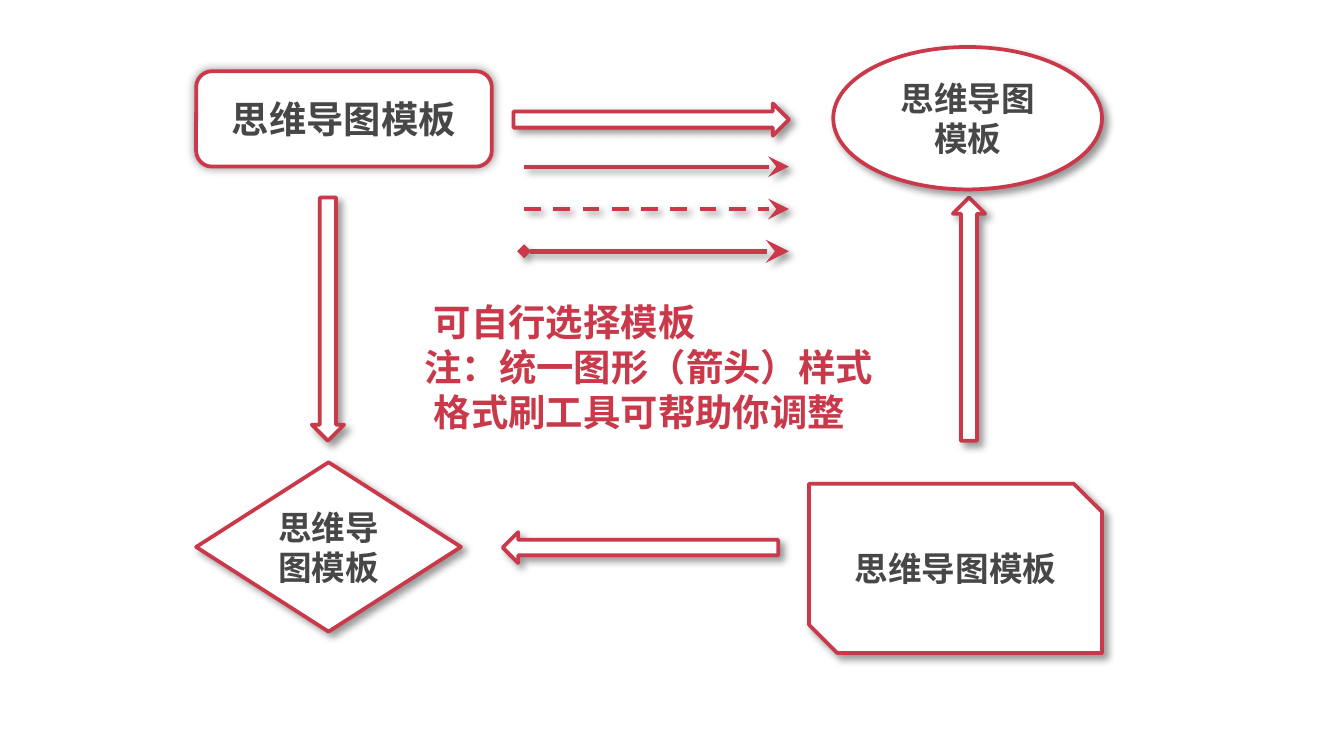
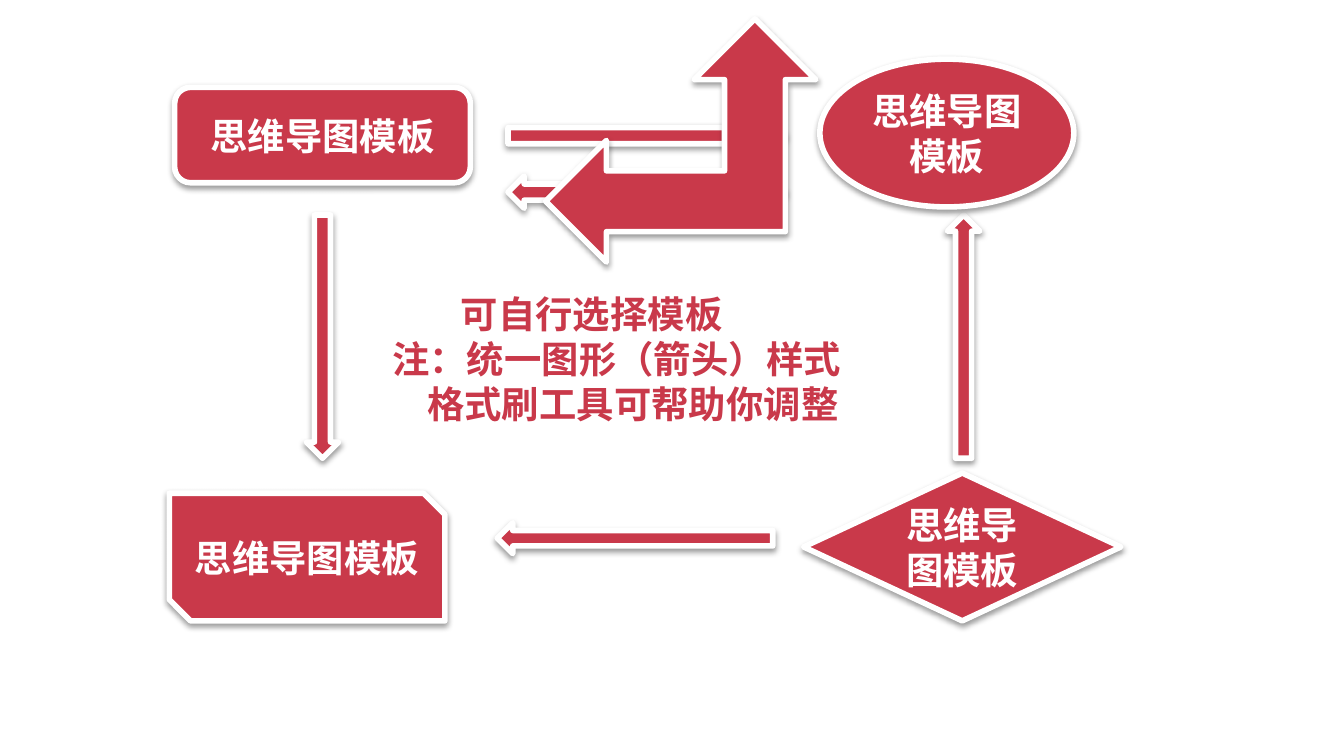
from dataclasses import dataclass

from lxml.etree import SubElement
from pptx import Presentation
from pptx.dml.color import RGBColor
from pptx.enum.dml import MSO_LINE
from pptx.enum.shapes import MSO_CONNECTOR, MSO_SHAPE as Preset
from pptx.enum.text import MSO_ANCHOR as Anchor, PP_ALIGN as Align
from pptx.oxml.ns import qn
from pptx.util import Inches, Pt

RED, WHITE, GREY, BLACK = "C9394A", "FFFFFF", "474747", "000000"
NODE_TEXT = "思维导图模板"
NOTE_LINES = ("可自行选择模板", "注：统一图形（箭头）样式", "格式刷工具可帮助你调整")


@dataclass(frozen=True)
class Shadow:
    """Outer shadow: opacity in percent, blur and distance in points, angle."""
    opacity: float
    blur: float
    distance: float
    angle: float


@dataclass(frozen=True)
class Style:
    """Look shared by the nodes and block arrows of one slide."""
    fill: str
    outline: str
    weight: float
    ink: str
    shadow: Shadow


DROP = Shadow(40, 4, 3, 45)
GLOW = Shadow(40, 5, 0, 0)
OUTLINED = Style(WHITE, RED, 2, GREY, DROP)
SOLID = Style(RED, WHITE, 3, WHITE, Shadow(38, 3.1, 1.6, 90))


def color(hex_string):
    """Turn a hex string into a colour."""
    return RGBColor.from_string(hex_string)


def cast_shadow(properties, shadow):
    """Give shape properties an outer shadow."""
    effects = properties.find(qn("a:effectLst"))
    if effects is None:
        effects = SubElement(properties, qn("a:effectLst"))
    outer = SubElement(effects, qn("a:outerShdw"), {
        "blurRad": str(Pt(shadow.blur)), "dist": str(Pt(shadow.distance)),
        "dir": str(shadow.angle * 60000), "algn": "ctr", "rotWithShape": "0"})
    tint = SubElement(outer, qn("a:srgbClr"), val=BLACK)
    SubElement(tint, qn("a:alpha"), val=str(shadow.opacity * 1000))


def write(frame, lines, size=20, ink=RED, font="Arial", align=Align.LEFT,
          anchor=Anchor.TOP, indents=None):
    """Fill a text frame with bold paragraphs, each with its left indent."""
    frame.word_wrap = True
    frame.vertical_anchor = anchor
    for index, line in enumerate(lines):
        paragraph = frame.paragraphs[0] if index == 0 else frame.add_paragraph()
        paragraph.alignment = align
        if indents:
            paragraph._p.get_or_add_pPr().set("marL", str(Inches(indents[index])))
        run = paragraph.add_run()
        run.text = line
        run.font.name, run.font.size, run.font.bold = font, Pt(size), True
        run.font.color.rgb = color(ink)


def add_block(slide, preset, box, style, shadow=None):
    """Add a preset shape in the style of its slide."""
    block = slide.shapes.add_shape(preset, *map(Inches, box))
    block.fill.solid()
    block.fill.fore_color.rgb = color(style.fill)
    block.line.color.rgb = color(style.outline)
    block.line.width = Pt(style.weight)
    block.shadow.inherit = False
    cast_shadow(block._element.spPr, shadow or style.shadow)
    return block


def add_node(slide, preset, box, style, size=20, shadow=None):
    """Add a labelled node of the mind map."""
    node = add_block(slide, preset, box, style, shadow)
    write(node.text_frame, [NODE_TEXT], size=size, ink=style.ink, font="Calibri",
          align=Align.CENTER, anchor=Anchor.MIDDLE)


def add_flow(slide, style, right, down, up, left):
    """Add the four block arrows of the flow, each at its (left, top)."""
    length, height, thickness = 2.05, 1.81, 0.24
    for preset, start, extent in (
            (Preset.RIGHT_ARROW, right, (length, thickness)),
            (Preset.DOWN_ARROW, down, (thickness, height)),
            (Preset.UP_ARROW, up, (thickness, height)),
            (Preset.LEFT_ARROW, left, (length, 0.23))):
        add_block(slide, preset, (*start, *extent), style)


def add_line_arrows(slide, left, top, width, gap):
    """Add the plain, dashed and diamond-headed sample arrows, evenly spaced."""
    samples = ((2.25, None, None), (2.25, MSO_LINE.DASH, None),
               (2.5, None, "diamond"))
    for row, (weight, dash, head) in enumerate(samples):
        y = Inches(top + row * gap)
        arrow = slide.shapes.add_connector(
            MSO_CONNECTOR.STRAIGHT, Inches(left), y, Inches(left + width), y)
        arrow.line.color.rgb = color(RED)
        arrow.line.width = Pt(weight)
        if dash:
            arrow.line.dash_style = dash
        outline = arrow.line._get_or_add_ln()
        if head:
            SubElement(outline, qn("a:headEnd"), type=head)
        SubElement(outline, qn("a:tailEnd"), type="stealth", w="lg", len="lg")
        cast_shadow(arrow._element.spPr, DROP)


def add_note(slide, box, indents):
    """Add the three-line note in the middle."""
    note = slide.shapes.add_textbox(*map(Inches, box))
    write(note.text_frame, NOTE_LINES, indents=indents)


def build_outlined(slide):
    """Build the map of white shapes with red outlines."""
    add_flow(slide, OUTLINED, right=(3.82, 0.77), down=(2.32, 1.47),
             up=(7.09, 1.47), left=(3.74, 3.96))
    add_node(slide, Preset.ROUNDED_RECTANGLE, (1.46, 0.53, 2.2, 0.71), OUTLINED,
             shadow=GLOW)
    for preset, box in ((Preset.OVAL, (6.2, 0.35, 2, 1.06)),
                        (Preset.SNIP_2_DIAG_RECTANGLE, (6.02, 3.6, 2.18, 1.26)),
                        (Preset.DIAMOND, (1.46, 3.44, 1.97, 1.26))):
        add_node(slide, preset, box, OUTLINED, size=18)
    add_line_arrows(slide, left=3.9, top=1.24, width=1.97, gap=0.315)
    add_note(slide, (3.06, 2.18, 3.57, 1.11), indents=(0.07, 0, 0.07))


def build_solid(slide):
    """Build the map of red shapes with white outlines."""
    add_flow(slide, SOLID, right=(3.78, 0.89), down=(2.28, 1.6),
             up=(7.05, 1.6), left=(3.7, 3.89))
    for preset, box in ((Preset.ROUNDED_RECTANGLE, (1.3, 0.65, 2.2, 0.71)),
                        (Preset.SNIP_2_DIAG_RECTANGLE, (1.26, 3.67, 2.05, 0.95)),
                        (Preset.OVAL, (6.1, 0.44, 1.89, 1.1)),
                        (Preset.DIAMOND, (5.98, 3.52, 2.36, 1.1))):
        add_node(slide, preset, box, SOLID)
    add_block(slide, Preset.LEFT_RIGHT_ARROW, (3.78, 1.31, 2.05, 0.24), SOLID)
    add_note(slide, (2.82, 2.12, 4.03, 1.11), indents=(0.51, 0, 0.26))
    add_block(slide, Preset.LEFT_UP_ARROW, (4.06, 0.14, 2.01, 1.81), SOLID)


deck = Presentation()
deck.slide_width = Inches(10)
deck.slide_height = deck.slide_width * 9 // 16
blank_layout = deck.slide_layouts[6]
for build in (build_outlined, build_solid):
    build(deck.slides.add_slide(blank_layout))
deck.save("out.pptx")
